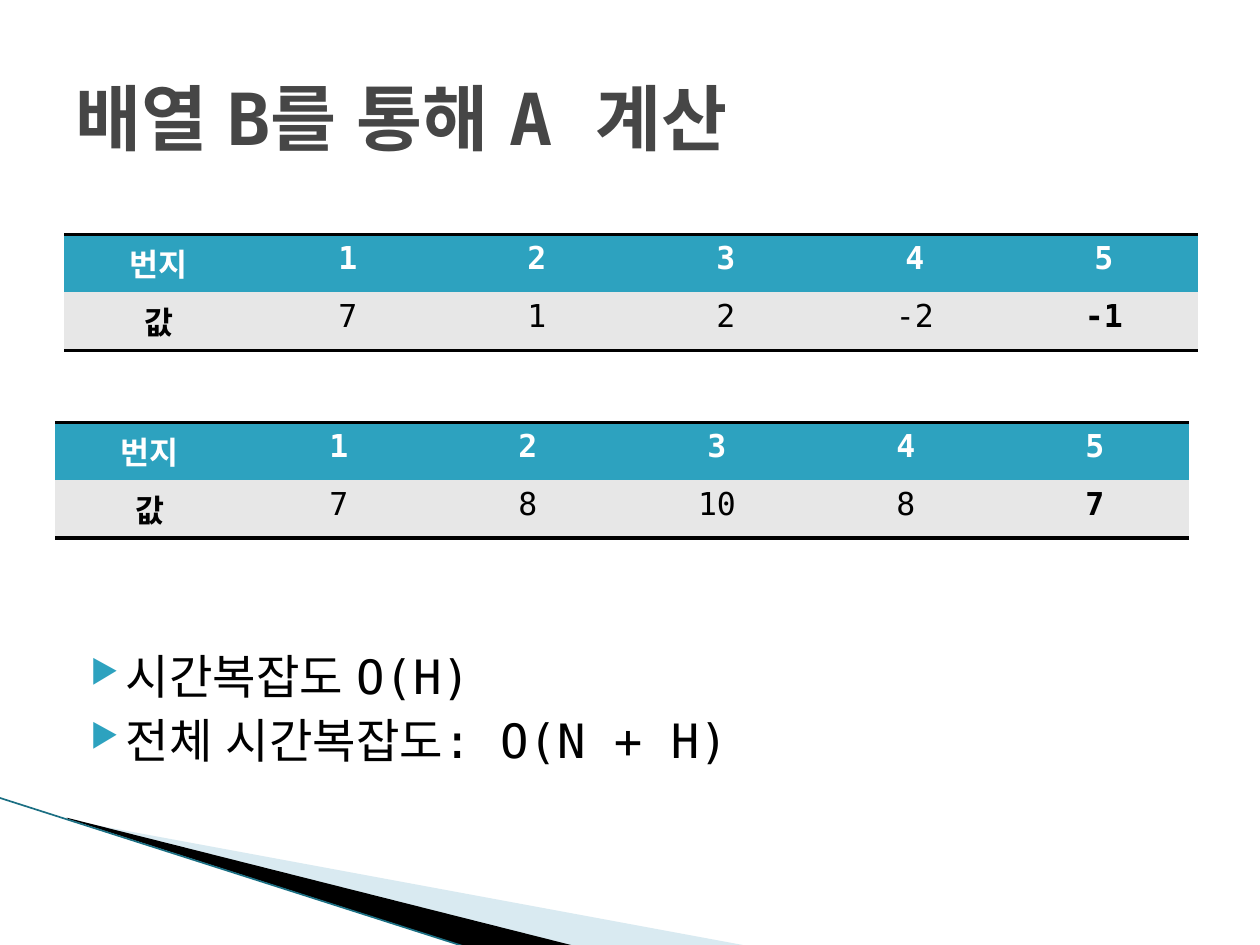
"""Build the slide on computing array A from array B."""
from lxml import etree
from pptx import Presentation
from pptx import util as u
from pptx.dml.color import RGBColor
from pptx.enum import shapes, text
from pptx.oxml import ns

FONT = "DejaVu Sans Mono"
HANGUL_FONT = "Liberation Sans"
BLACK, WHITE, TEAL, GREY = "000000", "FFFFFF", "2DA2BF", "E7E7E7"


def color(value):
    """Turn a hex string into a colour."""
    return RGBColor.from_string(value)


def add_element(parent, tag, **attributes):
    """Append a DrawingML element to a parent."""
    return etree.SubElement(parent, ns.qn(tag), attributes)


def paint(target, value):
    """Give a shape or cell a solid fill."""
    target.fill.solid()
    target.fill.fore_color.rgb = color(value)


def add_run(paragraph, content, size, value, bold=False):
    """Add one formatted run of text."""
    run = paragraph.add_run()
    run.text = content
    run.font.name = FONT
    run.font.size = u.Pt(size)
    run.font.bold = bold
    run.font.color.rgb = color(value)
    add_element(run.font._element, "a:ea", typeface=HANGUL_FONT)


def add_textbox(slide, left, top, width, height, anchor):
    """Add a wrapping text box and return its frame."""
    box = slide.shapes.add_textbox(*map(u.Inches, (left, top, width, height)))
    frame = box.text_frame
    frame.word_wrap = True
    frame.vertical_anchor = anchor
    return frame


def add_bullet(paragraph, content):
    """Write a paragraph with a teal triangle bullet."""
    paragraph.space_before = u.Pt(4)
    properties = paragraph._p.get_or_add_pPr()
    properties.set("marL", str(u.Inches(0.4)))
    properties.set("indent", str(u.Inches(-0.28)))
    bullet_color = add_element(properties, "a:buClr")
    add_element(bullet_color, "a:srgbClr", val=TEAL)
    add_element(properties, "a:buSzPct", val="68000")
    add_element(properties, "a:buFont", typeface="OpenSymbol")
    add_element(properties, "a:buChar", char="▶")
    add_run(paragraph, content, 27, BLACK)


def set_borders(cell, ruled_sides):
    """Draw black rules on the given sides of a cell and none elsewhere."""
    properties = cell._tc.get_or_add_tcPr()
    for index, side in enumerate("LRTB"):
        line = etree.Element(ns.qn(f"a:ln{side}"), w=str(u.Pt(2)))
        if side in ruled_sides:
            fill = add_element(line, "a:solidFill")
            add_element(fill, "a:srgbClr", val=BLACK)
        else:
            add_element(line, "a:noFill")
        properties.insert(index, line)


def add_array_table(slide, left, top, values):
    """Add a table of array indices and their values."""
    rows = [["번지", *map(str, range(1, len(values) + 1))],
            ["값", *map(str, values)]]
    count = len(rows[0])
    table = slide.shapes.add_table(
        len(rows), count, u.Inches(left), u.Inches(top),
        u.Inches(9), u.Inches(0.92)).table
    table.horz_banding = False
    for row_index, row in enumerate(rows):
        header = row_index == 0
        for column_index, content in enumerate(row):
            cell = table.cell(row_index, column_index)
            cell.margin_top = u.Inches(0.05 if column_index else 0.11)
            cell.margin_bottom = u.Inches(0.04)
            paint(cell, TEAL if header else GREY)
            set_borders(cell, "TB" if header else "B")
            paragraph = cell.text_frame.paragraphs[0]
            paragraph.alignment = text.PP_ALIGN.CENTER
            bold = header or column_index in (0, count - 1)
            add_run(paragraph, content, 18, WHITE if header else BLACK, bold)


def add_wedge(slide, points, value, opacity=100):
    """Add a filled outline through the given points."""
    corners = [(u.Inches(x), u.Inches(y)) for x, y in points]
    builder = slide.shapes.build_freeform(*corners[0])
    builder.add_line_segments(corners[1:], close=True)
    shape = builder.convert_to_shape()
    shape.shadow.inherit = False
    shape.line.fill.background()
    paint(shape, value)
    if opacity < 100:
        fill = shape._element.spPr.find(ns.qn("a:solidFill"))
        add_element(fill[0], "a:alpha", val=str(opacity * 1000))


def add_line(slide, start, end, value, width):
    """Add a plain straight line."""
    line = slide.shapes.add_connector(
        shapes.MSO_CONNECTOR.STRAIGHT, *map(u.Inches, (*start, *end)))
    line.line.color.rgb = color(value)
    line.line.width = u.Pt(width)
    add_element(line._element.spPr, "a:effectLst")


def main():
    """Create and save the presentation."""
    presentation = Presentation()
    presentation.slide_width = u.Inches(10)
    presentation.slide_height = u.Inches(7.5)
    slide = presentation.slides.add_slide(presentation.slide_layouts[6])

    add_wedge(slide, [(0.55, 6.51), (5.95, 7.51), (4.56, 7.51), (0.55, 6.5)],
              "A0CBDC", 40)
    add_wedge(slide, [(0.53, 6.49), (4.57, 7.51), (3.72, 7.52), (0.54, 6.5)],
              BLACK)
    add_line(slide, (-0.01, 6.33), (3.71, 7.52), "1B6F83", 0.95)

    title = add_textbox(slide, 0.5, 0.3, 9, 1.25, text.MSO_ANCHOR.MIDDLE)
    add_run(title.paragraphs[0], "배열 B를 통해 A 계산", 41, "464646", True)

    add_array_table(slide, 0.51, 1.86, [7, 1, 2, -2, -1])
    add_array_table(slide, 0.44, 3.35, [7, 8, 10, 8, 7])

    body = add_textbox(slide, 0.5, 5.09, 9, 1.48, text.MSO_ANCHOR.TOP)
    add_bullet(body.paragraphs[0], "시간복잡도 O(H)")
    add_bullet(body.add_paragraph(), "전체 시간복잡도: O(N + H)")

    presentation.save("out.pptx")


main()
